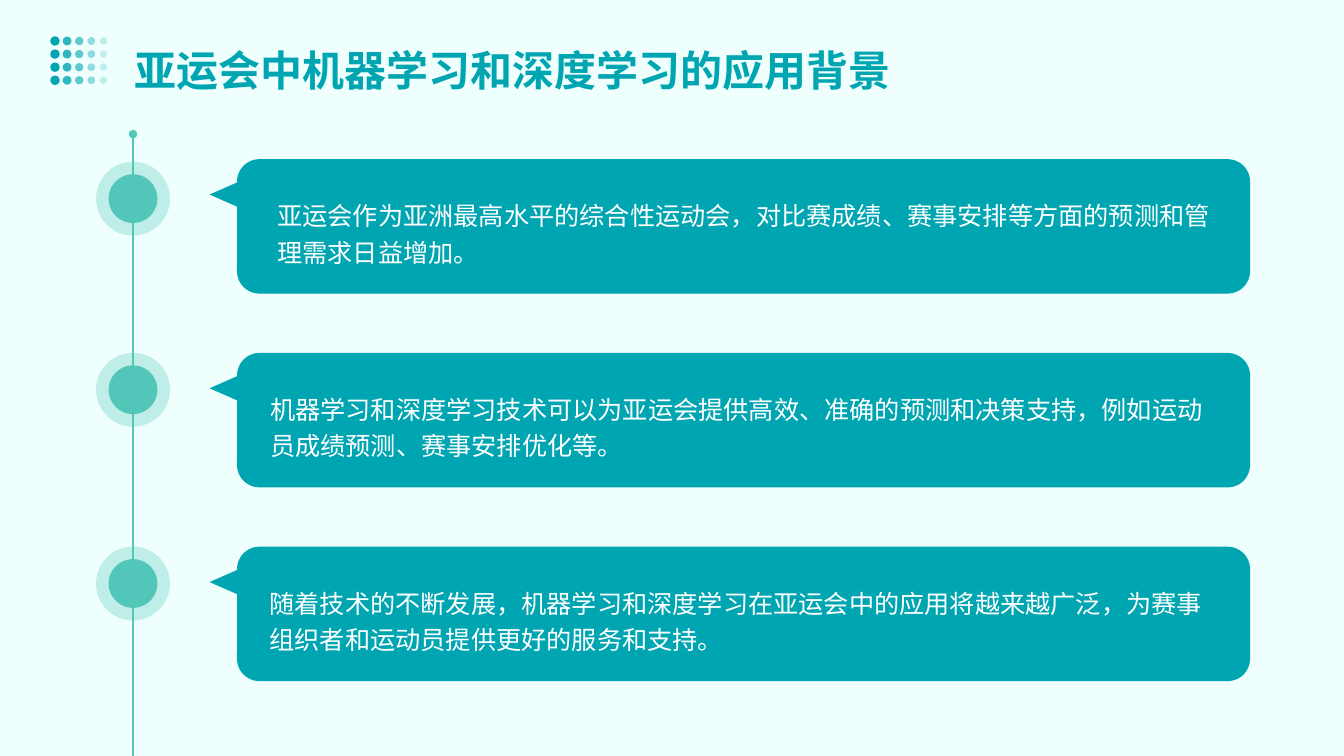
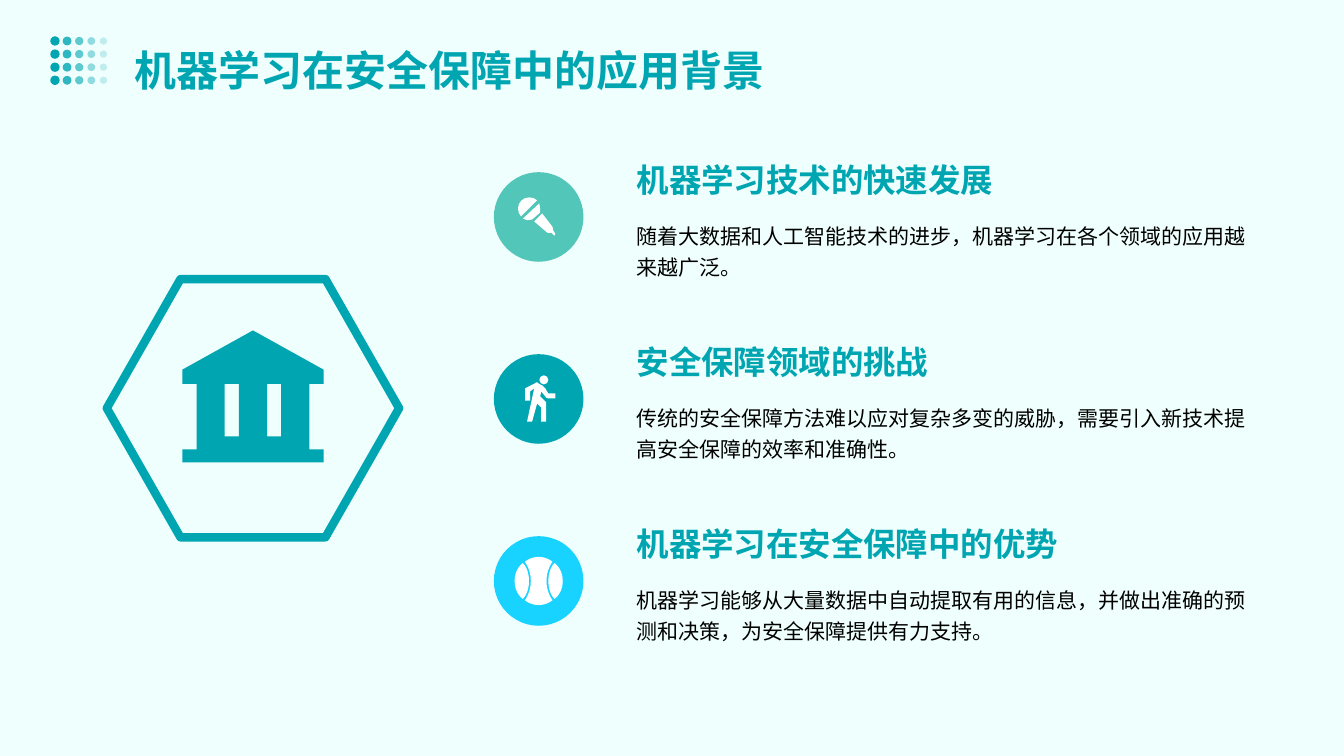
from lxml import etree
from pptx import Presentation
from pptx.dml.color import RGBColor
from pptx.enum import shapes, text
from pptx.oxml import ns
from pptx.util import Pt

FONT = "Noto Sans CJK SC"
HUE = {"back": "EFFFFD", "teal": "00A5B2", "mint": "52C6B8",
       "sky": "18D3FF", "white": "FFFFFF", "black": "000000"}
KIND = shapes.MSO_SHAPE

# Timeline: text, left inset of the text, top of the ring
STEPS = [
    ("亚运会作为亚洲最高水平的综合性运动会，对比赛成绩、赛事安排等方面的预测和管理需求日益增加。", 24.1, 115.5),
    ("机器学习和深度学习技术可以为亚运会提供高效、准确的预测和决策支持，例如运动员成绩预测、赛事安排优化等。", 19, 252),
    ("随着技术的不断发展，机器学习和深度学习在亚运会中的应用将越来越广泛，为赛事组织者和运动员提供更好的服务和支持。", 18.5, 390.4),
]

# Points: heading, body, disc colour, icon
POINTS = [
    ("机器学习技术的快速发展", "随着大数据和人工智能技术的进步，机器学习在各个领域的应用越来越广泛。", "mint", "mic"),
    ("安全保障领域的挑战", "传统的安全保障方法难以应对复杂多变的威胁，需要引入新技术提高安全保障的效率和准确性。", "teal", "walker"),
    ("机器学习在安全保障中的优势", "机器学习能够从大量数据中自动提取有用的信息，并做出准确的预测和决策，为安全保障提供有力支持。", "sky", "ball"),
]


def flip(path):
    """Mirror a path left to right."""
    return [tuple(-v if i % 2 == 0 else v for i, v in enumerate(seg)) for seg in path]


SIDE = [(-11.3, -12.8), (-11.3, -12.8, -17.2, -9, -17.2, 0),
        (-17.2, 9, -11.3, 12.8, -11.3, 12.8), (-11.3, 12.8, -6.9, 9, -6.9, 0),
        (-6.9, -9, -11.3, -12.8, -11.3, -12.8)]
WINDOW = [(-20.2, -17.3), (-10.1, -17.3), (-10.1, 20.2), (-20.2, 20.2)]
WALL = [(0, -55.4), (50.4, -27.4), (50.4, -17.3), (40.3, -17.3),
        (40.3, 29.5), (50.4, 29.5), (50.4, 38.9)]

# Outlines around their centre: pairs are corners, sixes are Bezier curves
ICONS = {
    "mic": [
        [(1.1, -3.2), (1.1, -5.4, 1.1, -7.6, 0.4, -9.7), (-11.2, 1.1),
         (-9, 2.5, -6.8, 2.5, -4.7, 1.8)],
        [(-1.1, -11.9), (-2.5, -13.3, -4.7, -14, -6.8, -14),
         (-11.2, -14, -14.8, -10.4, -14.8, -6.1),
         (-14.8, -4, -14, -1.8, -12.6, -0.4)],
        [(10.4, 9.7), (10.4, 9.7, 10.4, 7.6, 9.7, 6.8), (2.5, -2.5), (-3.2, 3.2),
         (6.1, 11.2), (6.8, 11.9, 9, 11.2, 9, 11.2), (11.2, 13.3), (11.9, 11.9)],
    ],
    "walker": [
        [(1.8, -5.4), (4.7, -1.8), (4.7, -1.1, 6.1, -0.4, 6.8, -0.4), (11.9, -0.4),
         (11.9, -4), (6.8, -4), (4.7, -7.6), (4, -8.3, 3.2, -9, 2.5, -9.7),
         (-0.4, -11.2), (-0.4, -11.9, -1.1, -11.9, -1.8, -11.9), (-2.5, -11.2),
         (-9.7, -7.6), (-9.7, 1.1), (-6.1, 1.1), (-6.1, -5.4), (-3.2, -7.6),
         (-8.3, 16.2), (-4.7, 16.2), (-1.1, 3.2), (1.8, 6.1), (1.8, 16.2),
         (5.4, 16.2), (5.4, 2.5), (1.1, -1.8)],
        [(3.7, -10.4), (5.5, -10.4, 6.9, -11.8, 6.9, -13.6),
         (6.9, -15.4, 5.5, -16.9, 3.7, -16.9), (1.9, -16.9, 0.5, -15.4, 0.5, -13.6),
         (0.5, -11.8, 1.9, -10.4, 3.7, -10.4)],
    ],
    "ball": [
        [(5.6, 0), (5.6, -8.6, 9.9, -13.7, 9.9, -13.7),
         (9.9, -13.7, 6, -17.2, 0, -17.2), (-6, -17.2, -9.9, -13.7, -9.9, -13.7),
         (-9.9, -13.7, -5.6, -8.6, -5.6, 0), (-5.6, 8.6, -9.9, 13.7, -9.9, 13.7),
         (-9.9, 13.7, -6, 17.2, 0, 17.2), (6, 17.2, 9.9, 13.7, 9.9, 13.7),
         (9.9, 13.7, 5.6, 8.6, 5.6, 0)],
        SIDE, flip(SIDE),
    ],
    "bank": [WALL + flip(WALL[:0:-1]), WINDOW, flip(WINDOW)],
    "hexagon": [[(-104.4, 0), (-51.8, -92.2), (51.8, -92.2),
                 (104.4, 0), (51.8, 92.2), (-51.8, 92.2)]],
}


def rgb(hue):
    return RGBColor.from_string(HUE[hue])


def sub(node, tag, **attrs):
    return etree.SubElement(node, ns.qn(tag), **attrs)


def paint(shape, hue, alpha=100):
    shape.shadow.inherit = False
    shape.line.fill.background()
    shape.fill.solid()
    shape.fill.fore_color.rgb = rgb(hue)
    if alpha < 100:
        sub(shape.fill._xPr.find(".//" + ns.qn("a:srgbClr")), "a:alpha",
            val=str(alpha * 1000))
    return shape


def add(slide, kind, x, y, w, h, hue, alpha=100):
    return paint(slide.shapes.add_shape(kind, Pt(x), Pt(y), Pt(w), Pt(h)), hue, alpha)


def disc(slide, x, y, size, hue, alpha=100):
    """Add a circle centred on x, y."""
    return add(slide, KIND.OVAL, x - size / 2, y - size / 2, size, size, hue, alpha)


def bend(shape, segs, x, y):
    """Turn the straight segments that stand for curves into Bezier curves."""
    for line, seg in zip(list(shape._element.iter(ns.qn("a:lnTo"))), segs):
        if len(seg) == 2:
            continue
        line.clear()
        line.tag = ns.qn("a:cubicBezTo")
        for dx, dy in zip(seg[::2], seg[1::2]):
            sub(line, "a:pt", x=str(Pt(x + dx) - shape.left), y=str(Pt(y + dy) - shape.top))


def draw(slide, name, x, y, hue):
    """Add an icon centred on x, y."""
    pen, segs = None, []
    for path in ICONS[name]:
        dots = [(Pt(x + seg[-2]), Pt(y + seg[-1])) for seg in path]
        if pen is None:
            pen = slide.shapes.build_freeform(*dots[0])
        else:
            pen.move_to(*dots[0])
        pen.add_line_segments(dots[1:], close=False)
        pen.add_line_segments([dots[0]], close=True)
        segs += path[1:] + path[:1]
    shape = pen.convert_to_shape()
    bend(shape, segs, x, y)
    return paint(shape, hue)


def write(shape, words, size, hue, space, pads, bold=False):
    """Set one paragraph; pads are left, top, right, bottom."""
    frame = shape.text_frame
    frame.text = words
    frame.word_wrap = True
    frame.auto_size = text.MSO_AUTO_SIZE.NONE
    frame.vertical_anchor = text.MSO_ANCHOR.TOP
    (frame.margin_left, frame.margin_top,
     frame.margin_right, frame.margin_bottom) = map(Pt, pads)
    para = frame.paragraphs[0]
    para.alignment = text.PP_ALIGN.LEFT
    para.line_spacing = space
    font = para.runs[0].font
    font.name, font.size, font.bold = FONT, Pt(size), bold
    font.color.rgb = rgb(hue)
    sub(font._element, "a:ea", typeface=FONT)


def label(slide, x, y, w, h, *style, **more):
    box = slide.shapes.add_textbox(Pt(x), Pt(y), Pt(w), Pt(h))
    write(box, *style, **more)


def start(deck, title):
    """Add a slide with its title and the fading dot grid."""
    slide = deck.slides.add_slide(deck.slide_layouts[5])
    write(slide.shapes.title, title, 30, "teal", 1.4, (10, 10, 4, 10), bold=True)
    for row in range(4):
        for col in range(5):
            disc(slide, 39.3 + 8.65 * col, 29.3 + 9.36 * row,
                 6.7 - 0.4 * col, "teal", 100 - 20 * col)
    return slide


def timeline(deck):
    slide = start(deck, "亚运会中机器学习和深度学习的应用背景")
    axis = 95
    line = slide.shapes.add_connector(shapes.MSO_CONNECTOR.STRAIGHT,
                                      Pt(axis), Pt(95.8), Pt(axis), Pt(540))
    line.line.color.rgb = rgb("mint")
    line.line.width = Pt(1.5)
    sub(line.line._get_or_add_ln(), "a:headEnd", type="oval")
    sub(line._element.spPr, "a:effectLst")
    for n, (words, pad, ring) in enumerate(STEPS):
        top = 113.7 + 138.4 * n
        disc(slide, axis, ring + 26.4, 52.8, "mint", 30)
        disc(slide, axis, ring + 26.4, 34.8, "mint")
        card = add(slide, KIND.ROUNDED_RECTANGLE, 169.3, top, 723.6, 96, "teal")
        write(card, words, 18, "white", 1.2, (pad, 20.6, pad - 6, 5))
        tip = add(slide, KIND.ISOSCELES_TRIANGLE, 151.2, top + 13, 21.6, 24.5, "teal")
        tip.rotation = 270


def safety(deck):
    slide = start(deck, "机器学习在安全保障中的应用背景")
    frame = draw(slide, "hexagon", 180.7, 291.6, "back")
    frame.line.color.rgb = rgb("teal")
    frame.line.width = Pt(6)
    sub(frame.line._get_or_add_ln(), "a:round")
    draw(slide, "bank", 180.7, 291.4, "teal")
    pads = (8.6, 4.3, 8.6, 4.3)
    for n, (head, body, hue, icon) in enumerate(POINTS):
        top = 116 + 130 * n
        disc(slide, 384.8, top + 39, 64, hue)
        draw(slide, icon, 384.8, top + 39, "white")
        label(slide, 446.2, top, 356, 32, head, 23.2, "teal", 0.77, pads, bold=True)
        label(slide, 446.2, top + 36, 455, 55.5, body, 15, "black", 1.2, pads)


def main():
    deck = Presentation()
    deck.slide_width, deck.slide_height = Pt(960), Pt(540)
    fill = deck.slide_master.background.fill
    fill.solid()
    fill.fore_color.rgb = rgb("back")
    title = deck.slide_layouts[5].placeholders[0]
    title.left, title.top, title.width, title.height = map(Pt, (86.4, 7.2, 787.7, 72))
    timeline(deck)
    safety(deck)
    deck.save("out.pptx")


if __name__ == "__main__":
    main()
